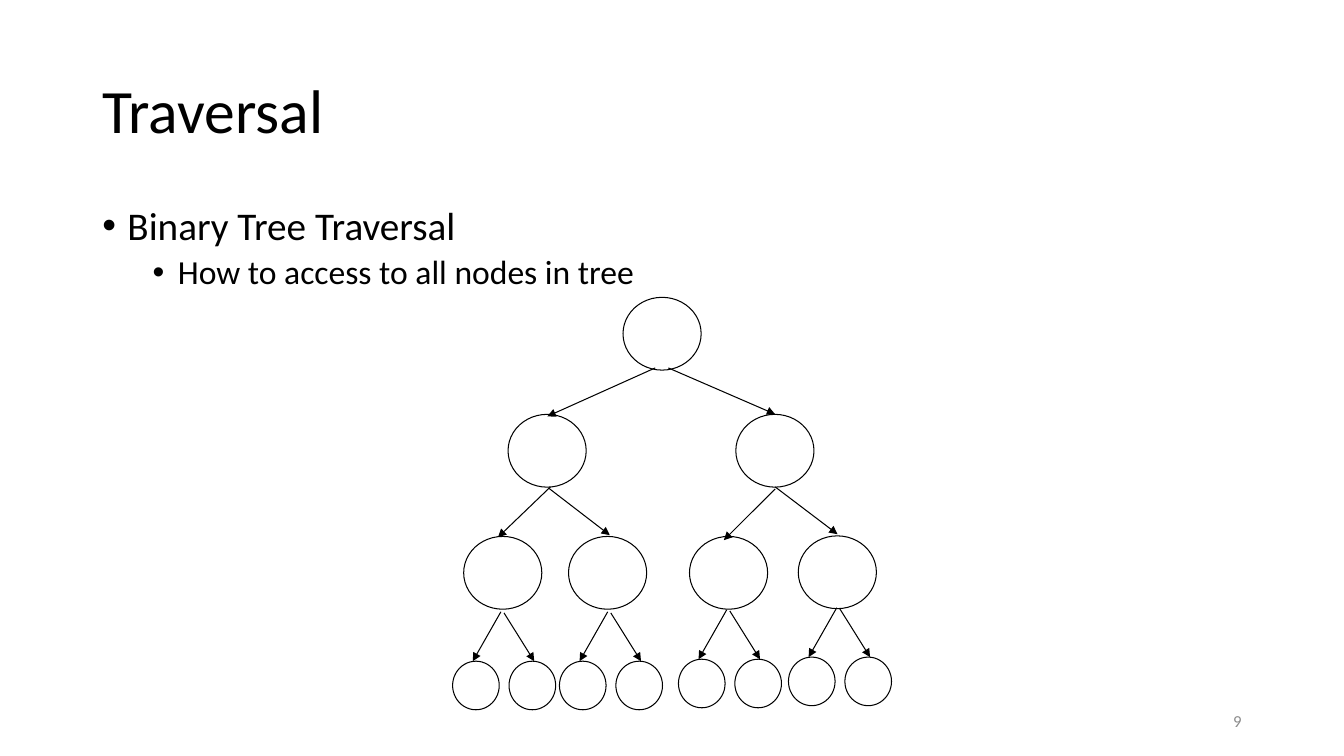
from lxml import etree
from pptx import Presentation
from pptx.dml.color import RGBColor
from pptx.enum.shapes import MSO_CONNECTOR, MSO_SHAPE
from pptx.enum.text import MSO_ANCHOR, PP_ALIGN
from pptx.oxml.ns import qn
from pptx.util import Pt

STRAIGHT = MSO_CONNECTOR.STRAIGHT
NODE_SHAPE = MSO_SHAPE.FLOWCHART_CONNECTOR
MIDDLE = MSO_ANCHOR.MIDDLE
TOP = MSO_ANCHOR.TOP
LEFT = PP_ALIGN.LEFT
RIGHT = PP_ALIGN.RIGHT

FONT = "Calibri"
BLACK = "000000"
WHITE = "FFFFFF"
GRAY = "8C8C8C"

NODE_SIZE = (55.8, 52)
LEAF_SIZE = (33.3, 34.7)
LEAF_PITCH = 40.3

NODES = [
    (445, 212.4),
    (362.9, 296), (525.6, 296),
    (331.2, 383.2), (406.1, 383.2), (492.5, 383.2), (570.2, 382.8),
]
HIDDEN_START_BRANCH = (409, 332.6, 355.7, 383.8)
BRANCHES = [
    (468, 262.8, 391, 297.4), (477.4, 262.8, 553.7, 295.9),
    (391.7, 348.5, 435.6, 382.3),
    (553.7, 349.2, 517, 385.9), (553.7, 347.8, 598.3, 381.6),
]
LEAF_PAIRS = [(323.3, 472.3), (399.6, 472.3), (484.6, 470.9), (563.2, 469.4)]
LEAF_BRANCHES = [(34.5, -35.3, 14.4, 0), (36.7, -34.5, 58.3, 0)]


def color(value):
    return RGBColor.from_string(value)


def format_paragraph(paragraph, size, ink=BLACK, align=LEFT):
    paragraph.alignment = align
    for run in paragraph.runs:
        run.font.name = FONT
        run.font.size = Pt(size)
        run.font.color.rgb = color(ink)


def add_text(slide, box, text, anchor):
    frame = slide.shapes.add_textbox(*map(Pt, box)).text_frame
    frame.word_wrap = True
    frame.vertical_anchor = anchor
    frame.text = text
    return frame.paragraphs


def add_bullet(paragraph, margin, before):
    paragraph.line_spacing = 0.9
    paragraph.space_before = Pt(before)
    properties = paragraph._p.get_or_add_pPr()
    properties.set("marL", str(Pt(margin)))
    properties.set("indent", str(Pt(-18)))
    etree.SubElement(properties, qn("a:buFont")).set("typeface", "Arial")
    etree.SubElement(properties, qn("a:buChar")).set("char", "•")


def add_node(slide, left, top, size):
    node = slide.shapes.add_shape(NODE_SHAPE, Pt(left), Pt(top), *map(Pt, size))
    node.shadow.inherit = False
    node.fill.solid()
    node.fill.fore_color.rgb = color(WHITE)
    node.line.color.rgb = color(BLACK)
    node.line.width = Pt(0.75)


def add_branch(slide, ends):
    branch = slide.shapes.add_connector(STRAIGHT, *map(Pt, ends))
    branch.line.color.rgb = color(BLACK)
    branch.line.width = Pt(0.75)
    etree.SubElement(branch.line._get_or_add_ln(), qn("a:tailEnd")).set("type", "triangle")
    etree.SubElement(branch._element.spPr, qn("a:effectLst"))


def add_leaf_pair(slide, left, top):
    for index, (x1, y1, x2, y2) in enumerate(LEAF_BRANCHES):
        add_node(slide, left + index * LEAF_PITCH, top, LEAF_SIZE)
        add_branch(slide, (left + x1, top + y1, left + x2, top + y2))


def add_tree(slide):
    add_branch(slide, HIDDEN_START_BRANCH)
    for left, top in NODES:
        add_node(slide, left, top, NODE_SIZE)
    for ends in BRANCHES:
        add_branch(slide, ends)
    for left, top in LEAF_PAIRS:
        add_leaf_pair(slide, left, top)


def main():
    presentation = Presentation()
    presentation.slide_width = Pt(960)
    presentation.slide_height = Pt(540)
    slide = presentation.slides.add_slide(presentation.slide_layouts[6])

    title = add_text(slide, (66, 28.8, 828, 104.4), "Traversal", MIDDLE)[0]
    title.line_spacing = 0.9
    format_paragraph(title, 44)

    topic, detail = add_text(
        slide, (66, 144, 828, 342.7),
        "Binary Tree Traversal\nHow to access to all nodes in tree", TOP)
    format_paragraph(topic, 28)
    add_bullet(topic, 18, 10)
    detail.level = 1
    format_paragraph(detail, 24)
    add_bullet(detail, 54, 5)

    add_tree(slide)

    page_number = add_text(slide, (678, 500.5, 216, 28.8), "9", MIDDLE)[0]
    format_paragraph(page_number, 12, GRAY, RIGHT)
    presentation.save("out.pptx")


if __name__ == "__main__":
    main()
